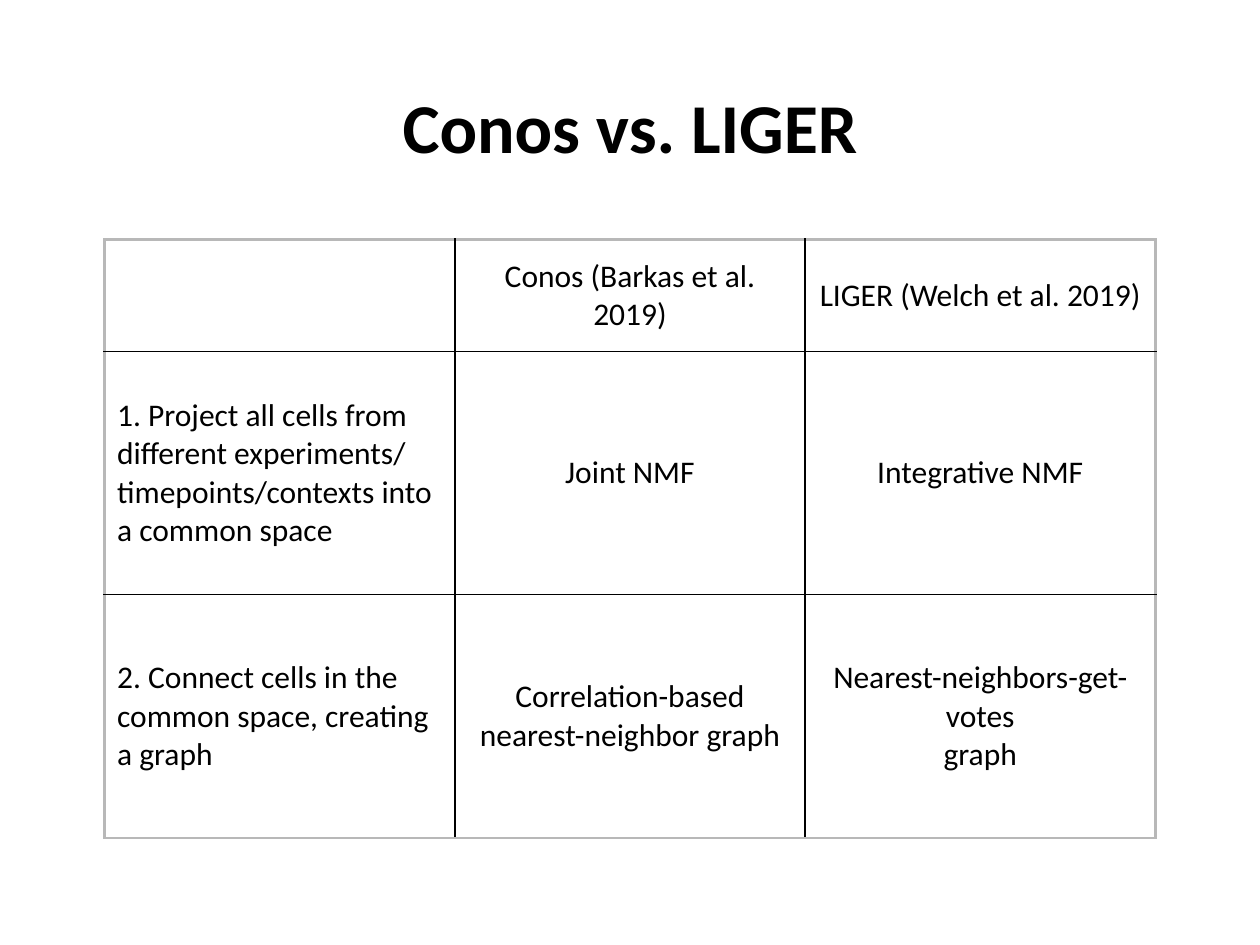
from dataclasses import dataclass

from lxml.etree import SubElement
from pptx import Presentation
from pptx.dml.color import RGBColor
from pptx.enum.text import MSO_ANCHOR, PP_ALIGN
from pptx.oxml.ns import qn
from pptx.util import Inches, Pt


@dataclass(frozen=True)
class Theme:
    font: str = "Calibri"
    title_size: int = 40
    body_size: int = 18
    text: str = "000000"
    inner_line: str = "000000"
    outer_line: str = "B8B8B8"
    inner_width: float = 1
    outer_width: float = 1.5


THEME = Theme()
TITLE = "Conos vs. LIGER"
ROW_HEIGHTS = (0.89, 1.93, 1.93)
COLUMN_WIDTH = 2.78
ROWS = (
    ("", "Conos (Barkas et al. 2019)", "LIGER (Welch et al. 2019)"),
    (
        "1. Project all cells from different experiments/ timepoints/contexts into a common space",
        "Joint NMF",
        "Integrative NMF",
    ),
    (
        "2. Connect cells in the common space, creating a graph",
        "Correlation-based\nnearest-neighbor graph",
        "Nearest-neighbors-get-votes\ngraph",
    ),
)


def write_text(tf, text, size, align, bold=False):
    tf.text = text
    tf.word_wrap = True
    tf.vertical_anchor = MSO_ANCHOR.MIDDLE
    for p in tf.paragraphs:
        p.alignment = align
        p.font.name = THEME.font
        p.font.size = Pt(size)
        p.font.bold = bold
        p.font.color.rgb = RGBColor.from_string(THEME.text)


def add_title(s):
    sp = s.shapes.add_textbox(Inches(0.5), Inches(0.37), Inches(9), Inches(1.25))
    write_text(sp.text_frame, TITLE, THEME.title_size, PP_ALIGN.CENTER, bold=True)


def add_border(cell, side, outer):
    width = THEME.outer_width if outer else THEME.inner_width
    color = THEME.outer_line if outer else THEME.inner_line
    tcPr = cell._tc.get_or_add_tcPr()
    ln = SubElement(tcPr, qn(f"a:ln{side}"), w=str(Pt(width)))
    fill = SubElement(ln, qn("a:solidFill"))
    SubElement(fill, qn("a:srgbClr"), val=color)


def style_cell(cell, row, column):
    last_row, last_column = len(ROWS) - 1, len(ROWS[0]) - 1
    edges = {
        "L": column == 0,
        "R": column == last_column,
        "T": row == 0,
        "B": row == last_row,
    }
    for side, outer in edges.items():
        add_border(cell, side, outer)
    cell.fill.background()
    cell.vertical_anchor = MSO_ANCHOR.MIDDLE


def add_comparison_table(s):
    columns = len(ROWS[0])
    frame = s.shapes.add_table(
        len(ROWS), columns, Inches(0.83), Inches(1.9),
        Inches(columns * COLUMN_WIDTH), Inches(sum(ROW_HEIGHTS)),
    )
    table = frame.table
    table.first_row = False
    table.horz_banding = False
    for column in table.columns:
        column.width = Inches(COLUMN_WIDTH)
    for row, height in zip(table.rows, ROW_HEIGHTS):
        row.height = Inches(height)
    for i, row in enumerate(ROWS):
        for j, text in enumerate(row):
            cell = table.cell(i, j)
            align = PP_ALIGN.CENTER if j else PP_ALIGN.LEFT
            write_text(cell.text_frame, text, THEME.body_size, align)
            style_cell(cell, i, j)


def main():
    prs = Presentation()
    prs.slide_width, prs.slide_height = Inches(10), Inches(7.5)
    s = prs.slides.add_slide(prs.slide_layouts[6])
    add_title(s)
    add_comparison_table(s)
    prs.save("out.pptx")


if __name__ == "__main__":
    main()
